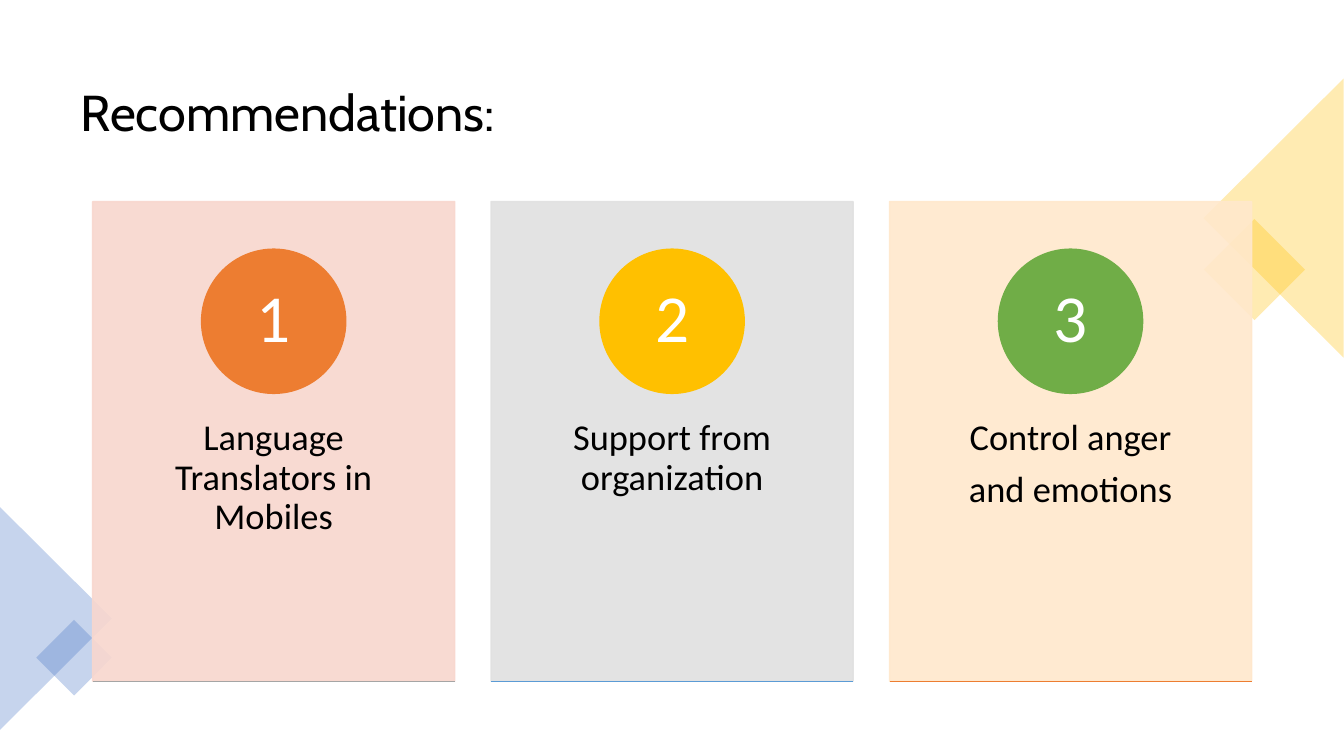
"""Build the recommendations slide with three numbered cards."""
import dataclasses

import lxml.etree
import pptx
import pptx.dml.color
import pptx.enum.shapes
import pptx.enum.text
import pptx.oxml.ns
import pptx.util

Pt = pptx.util.Pt
RGB = pptx.dml.color.RGBColor.from_string
qn = pptx.oxml.ns.qn
SHAPE = pptx.enum.shapes.MSO_SHAPE
ALIGN = pptx.enum.text.PP_ALIGN
ANCHOR = pptx.enum.text.MSO_ANCHOR


@dataclasses.dataclass(frozen=True)
class Theme:
    black: str = "000000"
    white: str = "FFFFFF"
    gold: str = "FFC000"
    blue: str = "4472C4"
    sky: str = "5B9BD5"
    orange: str = "ED7D31"
    green: str = "70AD47"
    gray: str = "A5A5A5"
    rose: str = "F8D7CE"
    silver: str = "E1E1E1"
    cream: str = "FFE8CC"
    title_size: int = 36
    number_size: int = 48
    body_size: int = 26
    title_font: str = "Cabin"
    body_font: str = "Calibri"


theme = Theme()


def write_text(box, text, *, size, color, font=theme.body_font, align=ALIGN.CENTER,
               anchor=ANCHOR.MIDDLE, margins=(7.2, 3.6), after=0):
    frame = box.text_frame
    frame.word_wrap = True
    frame.auto_size = pptx.enum.text.MSO_AUTO_SIZE.NONE
    frame.vertical_anchor = anchor
    frame.margin_left = frame.margin_right = Pt(margins[0])
    frame.margin_top = frame.margin_bottom = Pt(margins[1])
    frame.text = text
    for para in frame.paragraphs:
        para.alignment = align
        para.line_spacing = 0.9
        para.space_after = Pt(after)
        for span in para.runs:
            span.font.name = font
            span.font.size = Pt(size)
            span.font.color.rgb = RGB(color)


def add_block(kind, frame, color, *, opacity=100, rotation=0, outlined=False):
    block = page.shapes.add_shape(kind, *map(Pt, frame))
    block.shadow.inherit = False
    block.rotation = rotation
    block.fill.solid()
    block.fill.fore_color.rgb = RGB(color)
    if outlined:
        block.line.color.rgb = RGB(color)
        block.line.width = Pt(1)
    else:
        block.line.fill.background()
    if opacity < 100:
        for tint in block.element.spPr.iter(qn("a:srgbClr")):
            lxml.etree.SubElement(tint, qn("a:alpha"), val=str(opacity * 1000))
    return block


deck = pptx.Presentation()
deck.slide_width, deck.slide_height = Pt(960), Pt(540)
page = deck.slides.add_slide(deck.slide_layouts[5])

title = page.shapes.title
title.left, title.top, title.width, title.height = map(Pt, (50.4, 25.2, 859, 114.5))
write_text(title, "Recommendations:", size=theme.title_size, color=theme.black,
           font=theme.title_font, align=ALIGN.LEFT)

decorations = [
    (SHAPE.RECTANGLE, (870.5, 167, 51.1, 51.1), theme.gold, 45),
    (SHAPE.ISOSCELES_TRIANGLE, (810, 105.8, 199.4, 100), theme.gold, 270),
    (SHAPE.ISOSCELES_TRIANGLE, (-39.6, 401.8, 159.1, 79.9), theme.blue, 90),
    (SHAPE.RECTANGLE, (33.8, 450.7, 38.2, 38.2), theme.blue, 45),
]
for kind, frame, color, rotation in decorations:
    add_block(kind, frame, color, opacity=30, rotation=rotation)

cards = [
    ("Language Translators in Mobiles", theme.rose, theme.orange, theme.gray),
    ("Support from organization", theme.silver, theme.gold, theme.sky),
    ("Control anger\nand emotions", theme.cream, theme.green, theme.orange),
]
card_left, card_top, card_width, card_height, card_pitch = 66.2, 144, 258.6, 342.6, 284.6
circle_size = 103
for index, (text, card_color, circle_color, rule_color) in enumerate(cards):
    left = card_left + index * card_pitch
    bottom = card_top + card_height
    add_block(SHAPE.RECTANGLE, (left, card_top, card_width, card_height), card_color,
              opacity=90, outlined=True)
    body = page.shapes.add_textbox(*map(Pt, (left, 273.6, card_width, 206)))
    write_text(body, text, size=theme.body_size, color=theme.black,
               anchor=ANCHOR.TOP, margins=(20.2, 25.9), after=9)
    circle_left = left + (card_width - circle_size) / 2
    circle = add_block(SHAPE.OVAL, (circle_left, 178, circle_size, circle_size),
                       circle_color, outlined=True)
    write_text(circle, str(index + 1), size=theme.number_size, color=theme.white,
               margins=(8, 0.7))
    rule = page.shapes.add_connector(pptx.enum.shapes.MSO_CONNECTOR.STRAIGHT,
                                     *map(Pt, (left, bottom, left + card_width, bottom)))
    rule.line.color.rgb = RGB(rule_color)
    rule.line.width = Pt(1)
    lxml.etree.SubElement(rule.element.spPr, qn("a:effectLst"))

deck.save("out.pptx")
